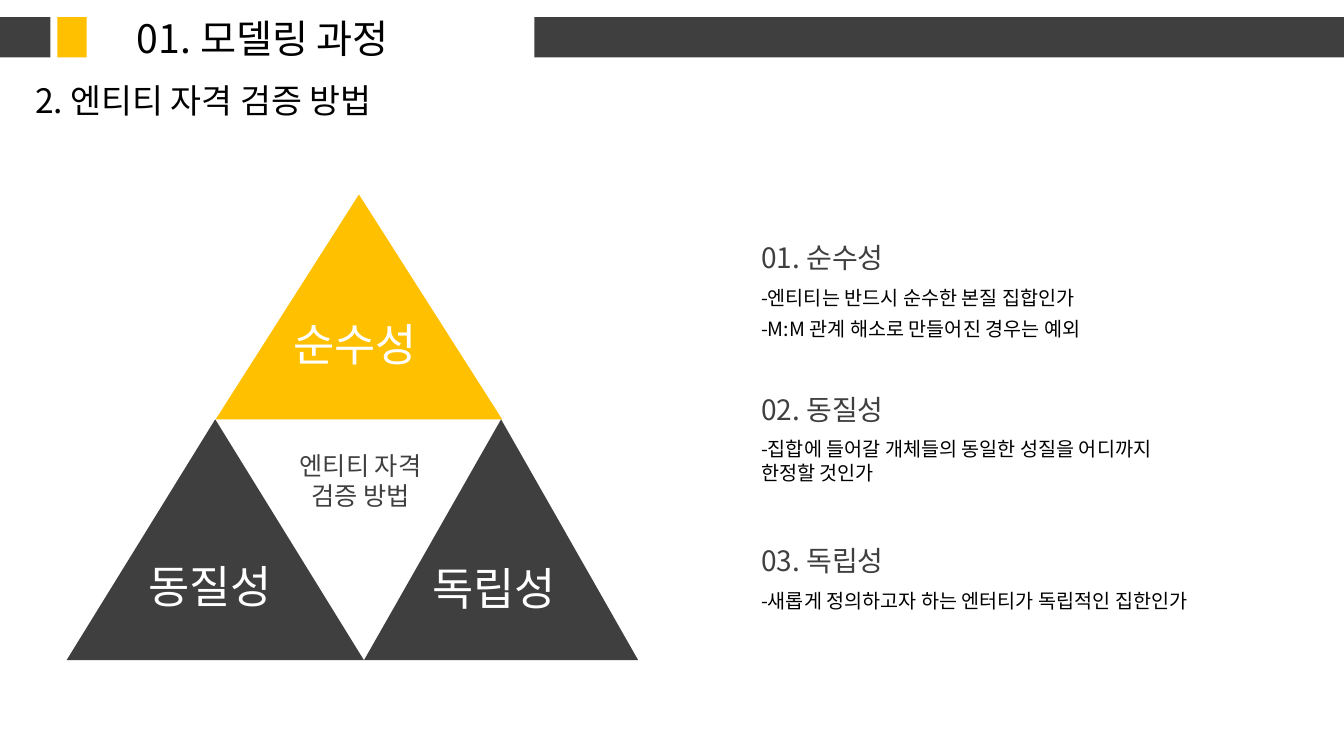
from lxml import etree
from pptx import Presentation
from pptx.dml.color import RGBColor
from pptx.enum.shapes import MSO_SHAPE
from pptx.enum.text import MSO_AUTO_SIZE, PP_ALIGN
from pptx.oxml.ns import qn
from pptx.util import Inches, Pt

RECTANGLE = MSO_SHAPE.RECTANGLE
TRIANGLE = MSO_SHAPE.ISOSCELES_TRIANGLE
FIT_SHAPE = MSO_AUTO_SIZE.SHAPE_TO_FIT_TEXT
LEFT, CENTER = PP_ALIGN.LEFT, PP_ALIGN.CENTER

DARK = RGBColor(0x3F, 0x3F, 0x3F)
YELLOW = RGBColor(0xFF, 0xC0, 0x00)
BLACK = RGBColor(0, 0, 0)
WHITE = RGBColor(0xFF, 0xFF, 0xFF)
FONT = "Noto Sans CJK KR"

deck = Presentation()
deck.slide_width = Inches(13.33)
deck.slide_height = Inches(7.5)
page = deck.slides.add_slide(deck.slide_layouts[6])


def add_block(kind, left, top, width, height, color):
    shape = page.shapes.add_shape(
        kind, Inches(left), Inches(top), Inches(width), Inches(height))
    shape.shadow.inherit = False
    shape.fill.solid()
    shape.fill.fore_color.rgb = color
    shape.line.fill.background()


def add_text(lines, left, top, width, height, size, color, align=LEFT):
    box = page.shapes.add_textbox(
        Inches(left), Inches(top), Inches(width), Inches(height))
    frame = box.text_frame
    frame.word_wrap = False
    frame.auto_size = FIT_SHAPE
    frame.text = "\n".join(lines)
    for para in frame.paragraphs:
        para.alignment = align
        para.font.size = Pt(size)
        para.font.color.rgb = color
        para.font.name = FONT
        # Korean letters take the East Asian typeface
        defaults = para._p.find(qn("a:pPr")).find(qn("a:defRPr"))
        etree.SubElement(defaults, qn("a:ea")).set("typeface", FONT)


# Header band
BAND_TOP, BAND_HEIGHT = 0.17, 0.4
for left, width, color in [(5.3, 8.03, DARK), (0, 0.5, DARK), (0.57, 0.29, YELLOW)]:
    add_block(RECTANGLE, left, BAND_TOP, width, BAND_HEIGHT, color)
add_text(["01. 모델링 과정"], 1.26, 0.09, 3.07, 0.57, 28, BLACK)
add_text(["2. 엔티티 자격 검증 방법"], 0.25, 0.74, 4.02, 0.5, 24, BLACK)

# Pyramid: one triangle above two, meeting at the waist
PEAK, WAIST, BASE = 1.93, 4.16, 6.55
LABEL_WIDTH, LABEL_HEIGHT = 1.55, 0.64
pyramid = [
    ("순수성", 2.14, PEAK, 2.84, WAIST, YELLOW, 2.81, 3.09),
    ("동질성", 0.66, WAIST, 2.95, BASE, DARK, 1.37, 5.49),
    ("독립성", 3.61, WAIST, 2.72, BASE, DARK, 4.19, 5.51),
]
for label, left, top, width, bottom, color, label_left, label_top in pyramid:
    add_block(TRIANGLE, left, top, width, bottom - top, color)
    add_text([label], label_left, label_top, LABEL_WIDTH, LABEL_HEIGHT, 32, WHITE)
add_text(["엔티티 자격", "검증 방법"], 2.8, 4.42, LABEL_WIDTH, 0.71, 18, DARK, CENTER)

# Explanations: equal rows, each with a heading and its notes
COLUMN, FIRST_ROW, ROW_PITCH = 7.45, 2.34, 1.5
NOTE_OFFSET, NOTE_PITCH = 0.45, 0.3
explanations = [
    ("01. 순수성", [(["-엔티티는 반드시 순수한 본질 집합인가"], 3.73, 0.34),
                 (["-M:M 관계 해소로 만들어진 경우는 예외"], 3.82, 0.34)]),
    ("02. 동질성", [(["-집합에 들어갈 개체들의 동일한 성질을 어디까지",
                  "한정할 것인가"], 4.58, 0.57)]),
    ("03. 독립성", [(["-새롭게 정의하고자 하는 엔터티가 독립적인 집한인가"], 4.98, 0.34)]),
]
for row, (heading, notes) in enumerate(explanations):
    top = FIRST_ROW + row * ROW_PITCH
    add_text([heading], COLUMN, top, 1.59, 0.44, 20, DARK)
    for index, (lines, width, height) in enumerate(notes):
        note_top = top + NOTE_OFFSET + index * NOTE_PITCH
        add_text(lines, COLUMN, note_top, width, height, 14, BLACK)

deck.save("out.pptx")
